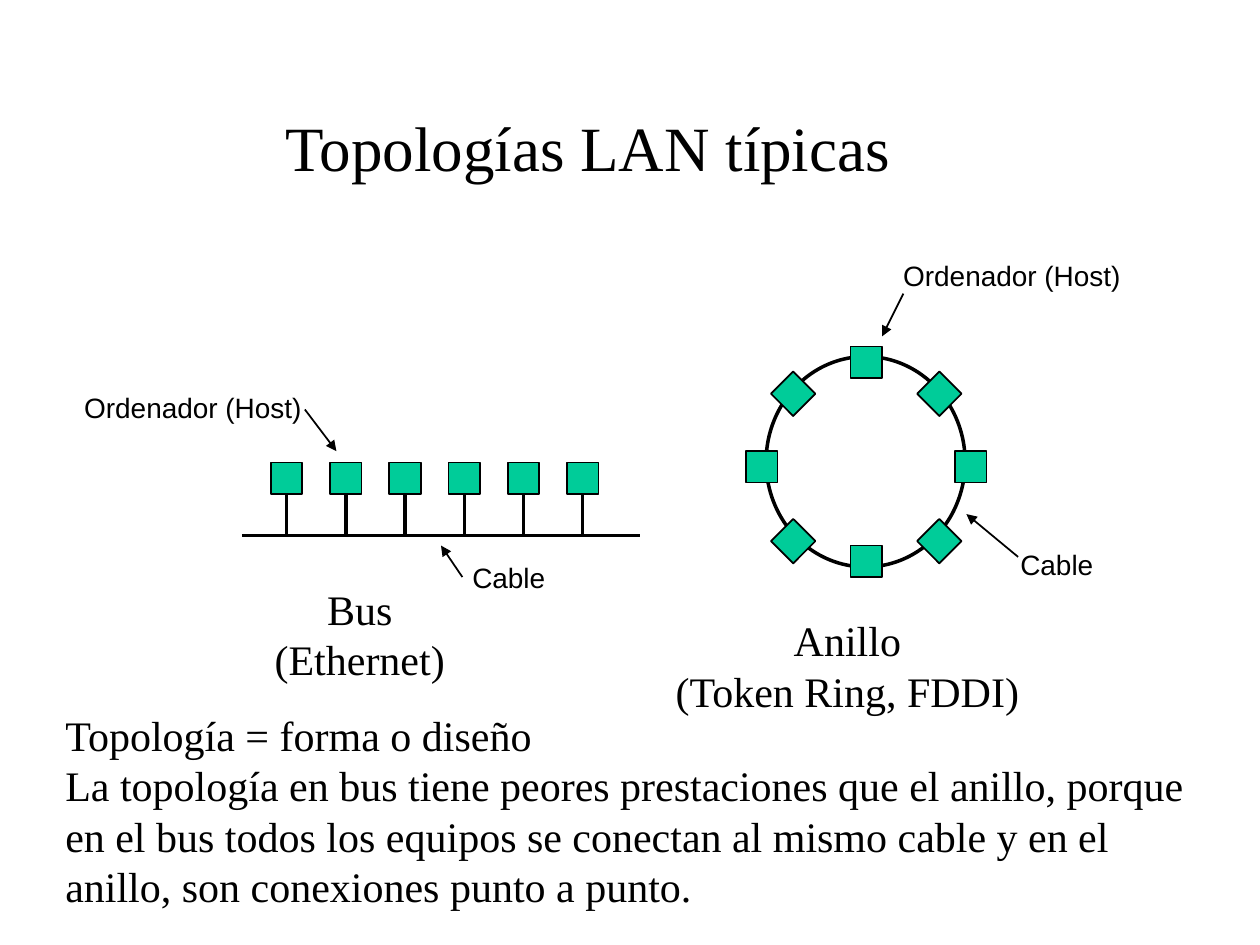
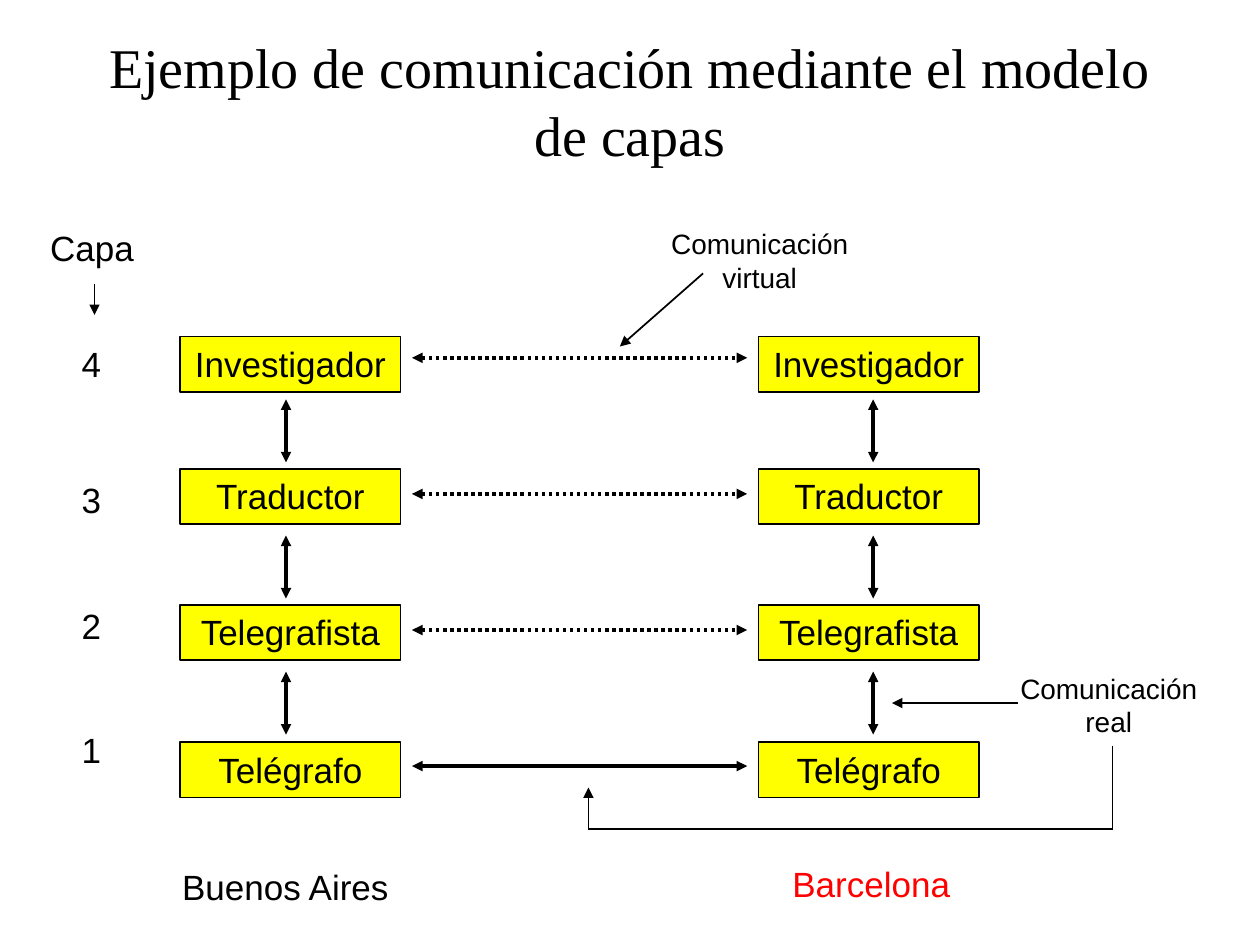
from dataclasses import dataclass
from itertools import pairwise, product

from lxml import etree
from pptx import Presentation, util as u
from pptx.dml.color import RGBColor
from pptx.enum import dml, shapes, text
from pptx.oxml.ns import qn

BLACK = RGBColor(0x00, 0x00, 0x00)
GREEN = RGBColor(0x00, 0xCC, 0x99)
YELLOW = RGBColor(0xFF, 0xFF, 0x00)
RED = RGBColor(0xFF, 0x00, 0x00)
SERIF, SANS = "Times New Roman", "Arial"
LEFT, MID = text.PP_ALIGN.LEFT, text.PP_ALIGN.CENTER
RECT, OVAL = shapes.MSO_SHAPE.RECTANGLE, shapes.MSO_SHAPE.OVAL
SIDE = 0.25  # side of a host square


@dataclass(frozen=True)
class Style:
    size: int
    font: str = SANS
    align: text.PP_ALIGN = LEFT
    color: RGBColor = BLACK


@dataclass(frozen=True)
class Label:
    words: str
    left: float
    top: float
    width: float
    height: float
    style: Style
    wrap: bool = False


@dataclass(frozen=True)
class Line:
    start: tuple[float, float]
    end: tuple[float, float]
    width: float = 1
    head: bool = False
    tail: bool = False
    dots: bool = False


@dataclass(frozen=True)
class Layer:
    name: str
    num: str
    box_top: float
    num_top: float


NOTE = Style(16)
NOTE_MID = Style(16, align=MID)
HEAD = Style(20)
HEAD_MID = Style(20, align=MID)
KIND = Style(24, SERIF, MID)
BODY = Style(24, SERIF)


def fill_text(frame, words: str, style: Style) -> None:
    frame.text = words
    for para in frame.paragraphs:
        para.alignment = style.align
        for run in para.runs:
            run.font.size = u.Pt(style.size)
            run.font.name = style.font
            run.font.color.rgb = style.color


def add_label(slide, label: Label):
    box = slide.shapes.add_textbox(*map(u.Inches, (
        label.left, label.top, label.width, label.height)))
    frame = box.text_frame
    frame.word_wrap = label.wrap
    frame.auto_size = text.MSO_AUTO_SIZE.SHAPE_TO_FIT_TEXT
    fill_text(frame, label.words, label.style)
    return frame


def add_form(slide, kind, left: float, top: float, width: float,
             height: float, color: RGBColor | None, weight: float = 1):
    form = slide.shapes.add_shape(
        kind, *map(u.Inches, (left, top, width, height)))
    form.shadow.inherit = False
    if color is None:
        form.fill.background()
    else:
        form.fill.solid()
        form.fill.fore_color.rgb = color
    form.line.color.rgb = BLACK
    form.line.width = u.Pt(weight)
    return form


def add_host(slide, left: float, top: float, turn: float = 0):
    host = add_form(slide, RECT, left, top, SIDE, SIDE, GREEN)
    host.rotation = turn
    return host


def add_line(slide, line: Line):
    link = slide.shapes.add_connector(
        shapes.MSO_CONNECTOR.STRAIGHT,
        *map(u.Inches, (*line.start, *line.end)))
    link.line.color.rgb = BLACK
    link.line.width = u.Pt(line.width)
    if line.dots:
        link.line.dash_style = dml.MSO_LINE.ROUND_DOT
    pen = link.line._get_or_add_ln()
    for tag, shown in (("a:headEnd", line.head), ("a:tailEnd", line.tail)):
        if shown:
            etree.SubElement(pen, qn(tag), type="triangle")
    etree.SubElement(link._element.spPr, qn("a:effectLst"))
    return link


def draw_lans(slide) -> None:
    # Title and captions
    add_label(slide, Label("Topologías LAN típicas", 2.17, 0.81, 5.03, 0.7,
                           Style(36, SERIF)))
    add_label(slide, Label("Bus\n(Ethernet)", 2.08, 4.58, 1.55, 0.9, KIND))
    add_label(slide, Label("Anillo\n(Token Ring, FDDI)",
                           5.25, 4.83, 2.95, 0.9, KIND))

    # Bus: hosts hang on one cable
    bus = 4.25
    add_line(slide, Line((1.92, bus), (5.08, bus), 2))
    for i in range(6):
        left = 2.15 + 0.47 * i
        mid = left + SIDE / 2
        host = add_host(slide, left, 3.67)
        stub = add_line(slide, Line((mid, 3.67 + SIDE), (mid, bus), 2))
        stub.begin_connect(host, 2)

    # Ring: four upright hosts and four turned ones
    add_form(slide, OVAL, 6.08, 2.83, 1.58, 1.67, None, 2)
    for left, top in product((6.17, 7.33), (3, 4.17)):
        add_host(slide, left, top, 45)
    for left, top in ((6.75, 2.75), (7.58, 3.58), (6.75, 4.33), (5.92, 3.58)):
        add_host(slide, left, top)

    # Notes with their arrows
    for left, top in ((0.57, 3.05), (7.07, 2)):
        add_label(slide, Label("Ordenador (Host)", left, top,
                               1.98, 0.37, NOTE))
    for left, top in ((3.65, 4.4), (8, 4.3)):
        add_label(slide, Label("Cable", left, top, 0.8, 0.37, NOTE))
    for start, end in (((2.42, 3.25), (2.67, 3.58)),
                       ((3.67, 4.58), (3.5, 4.33)),
                       ((7.17, 2.33), (7, 2.67)),
                       ((8.08, 4.42), (7.67, 4.08))):
        add_line(slide, Line(start, end, tail=True))

    # Explanation
    add_label(slide, Label(
        "Topología = forma o diseño\n"
        "La topología en bus tiene peores prestaciones que el anillo, porque "
        "en el bus todos los equipos se conectan al mismo cable y en el "
        "anillo, son conexiones punto a punto.",
        0.42, 5.58, 9.33, 1.7, BODY, wrap=True))


LAYERS = (
    Layer("Investigador", "4", 2.67, 2.67),
    Layer("Traductor", "3", 3.72, 3.75),
    Layer("Telegrafista", "2", 4.8, 4.75),
    Layer("Telégrafo", "1", 5.89, 5.73),
)


def draw_layers(slide) -> None:
    # Title
    title = add_label(slide, Label(
        "Ejemplo de comunicación mediante el modelo de capas",
        0.75, 0.17, 8.5, 1.25, Style(32, SERIF, MID), wrap=True))
    title.auto_size = text.MSO_AUTO_SIZE.NONE
    title.vertical_anchor = text.MSO_ANCHOR.MIDDLE

    # Layers: number, both boxes, and the links beside and below
    step, last = 1.08, len(LAYERS) - 1
    for i, layer in enumerate(LAYERS):
        add_label(slide, Label(layer.num, 0.55, layer.num_top,
                               0.35, 0.44, HEAD_MID))
        for left in (1.43, 6.02):
            box = add_form(slide, RECT, left, layer.box_top,
                           1.75, 0.44, YELLOW)
            frame = box.text_frame
            frame.word_wrap = True
            frame.auto_size = text.MSO_AUTO_SIZE.SHAPE_TO_FIT_TEXT
            frame.vertical_anchor = text.MSO_ANCHOR.TOP
            fill_text(frame, layer.name, HEAD_MID)
            frame.paragraphs[0].space_before = u.Pt(12.5)
        y = 2.84 + step * i
        add_line(slide, Line((3.27, y), (5.93, y), 2, True, True,
                             dots=i < last))
        if i < last:
            top = 3.17 + step * i
            for x in (2.27, 6.93):
                add_line(slide, Line((x, top), (x, top + 0.5), 2, True, True))

    # Headings and places
    add_label(slide, Label("Capa", 0.3, 1.75, 0.92, 0.44, HEAD))
    add_line(slide, Line((0.75, 2.25), (0.75, 2.5), tail=True))
    add_label(slide, Label("Buenos Aires", 1.31, 6.82, 1.91, 0.44, HEAD_MID))
    add_label(slide, Label("Barcelona", 6.16, 6.8, 1.51, 0.44,
                           Style(20, align=MID, color=RED)))

    # Virtual and real communication
    for word, left, top in (("virtual", 5.18, 1.75), ("real", 7.95, 5.28)):
        add_label(slide, Label(f"Comunicación\n{word}", left, top,
                               1.7, 0.64, NOTE_MID))
    add_line(slide, Line((5.58, 2.17), (4.92, 2.75), tail=True))
    add_line(slide, Line((8.08, 5.58), (7.08, 5.58), tail=True))
    bends = ((8.83, 5.92), (8.83, 6.58), (4.67, 6.58), (4.67, 6.25))
    for start, end in pairwise(bends):
        add_line(slide, Line(start, end, tail=end == bends[-1]))


def main() -> None:
    deck = Presentation()
    deck.slide_width, deck.slide_height = u.Inches(10), u.Inches(7.5)
    for draw in (draw_lans, draw_layers):
        draw(deck.slides.add_slide(deck.slide_layouts[6]))
    deck.save("out.pptx")


if __name__ == "__main__":
    main()
